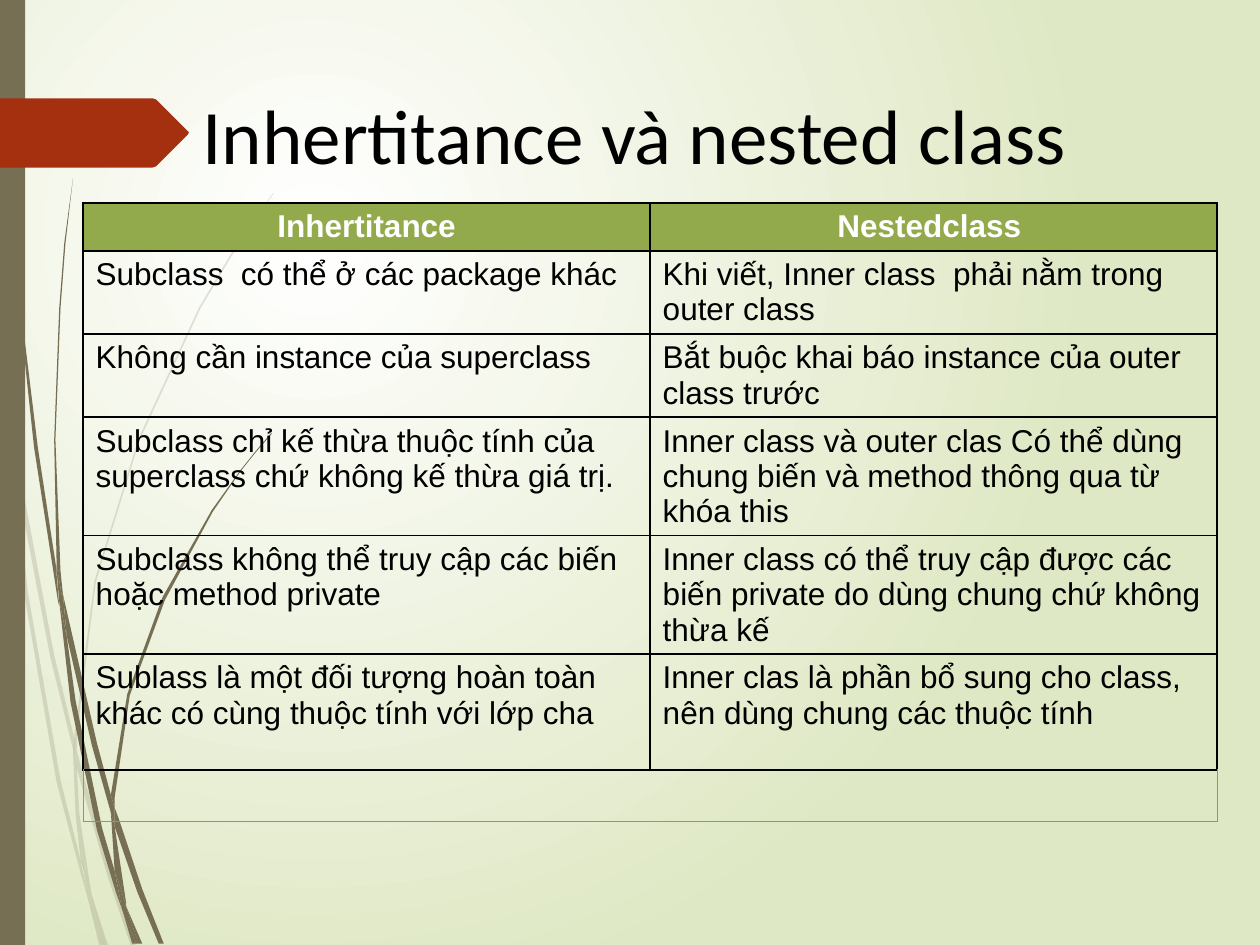
"""Build a slide that compares inheritance with nested classes in a table."""
from lxml.etree import SubElement
from pptx import Presentation
from pptx.dml.color import RGBColor
from pptx.enum.shapes import MSO_SHAPE as Shape
from pptx.enum.text import MSO_ANCHOR as Anchor, PP_ALIGN as Align
from pptx.oxml import parse_xml
from pptx.oxml.ns import nsdecls, qn
from pptx.util import Inches, Pt

WIDTH, HEIGHT = Inches(10), Inches(7.5)
HUNDREDTH = Inches(0.01)
WHITE = RGBColor(0xFF, 0xFF, 0xFF)
BLACK = RGBColor(0x00, 0x00, 0x00)
PALE_GREEN = RGBColor(0xDF, 0xE8, 0xC4)
GREEN = RGBColor(0x92, 0xAA, 0x4C)
EDGE_GREEN = RGBColor(0x8B, 0xA2, 0x49)
BROWN = RGBColor(0x76, 0x6F, 0x54)
RED = RGBColor(0xA5, 0x30, 0x10)

PALE_WISPS = [
    [(8, 350), (6, 322), (0, 282), (0, 299), (7, 344)],
    [(40, 522), (59, 599), (59, 586), (43, 520), (10, 345), (12, 376)],
    [(64, 607), (61, 596), (61, 610), (85, 694), (104, 751), (108, 751), (88, 692)],
    [(83, 751), (86, 751), (73, 711)],
    [(64, 683), (48, 619), (22, 469), (12, 376), (8, 350), (19, 470), (45, 621),
     (64, 693), (70, 714), (69, 707)],
    [(58, 599), (60, 646), (64, 683), (67, 692), (73, 711), (72, 706), (63, 646),
     (61, 610), (61, 608)],
    [(61, 584), (76, 462), (111, 349), (159, 245), (187, 198), (201, 175), (217, 154),
     (217, 153), (201, 175), (186, 197), (158, 244), (110, 348), (75, 461), (59, 584),
     (59, 586), (61, 596)],
    [(70, 714), (79, 751), (82, 751)],
    [(61, 608), (61, 610), (61, 596), (59, 586), (58, 599)],
    [(67, 692), (65, 683), (69, 707), (70, 714), (82, 751), (83, 751), (73, 711)],
]
DARK_WISPS = [
    [(5, 110), (14, 233), (27, 355), (46, 477), (47, 481), (45, 457), (45, 453),
     (30, 355), (15, 232), (6, 109), (4, 48), (3, 0), (2, 0), (3, 48)],
    [(73, 592), (88, 645), (88, 633), (88, 631), (77, 590), (50, 472), (53, 505)],
    [(94, 649), (91, 641), (91, 656), (109, 708), (126, 749), (130, 749), (113, 706)],
    [(91, 691), (81, 657), (60, 556), (53, 505), (47, 477), (56, 557), (77, 659),
     (92, 708), (97, 722), (96, 717)],
    [(50, 472), (48, 453), (44, 349), (48, 245), (52, 193), (58, 141), (51, 193),
     (47, 245), (43, 349), (45, 449), (49, 472)],
    [(110, 749), (113, 749), (100, 719)],
    [(47, 477), (53, 505), (50, 472), (49, 472), (45, 449), (45, 453)],
    [(91, 633), (103, 552), (131, 476), (169, 406), (191, 374), (203, 359), (216, 344),
     (215, 344), (203, 358), (191, 373), (168, 405), (129, 474), (101, 551), (88, 631),
     (91, 641)],
    [(97, 722), (105, 749), (108, 749)],
    [(88, 645), (91, 691), (96, 706), (100, 719), (100, 716), (91, 656), (90, 651)],
    [(88, 645), (90, 651), (91, 656), (91, 641), (88, 631), (88, 633)],
    [(96, 706), (91, 691), (96, 717), (97, 722), (108, 749), (110, 749), (100, 719)],
]
ARROW = [(149, 107), (124, 132), (121, 133), (0, 133), (0, 78), (121, 78), (124, 79),
         (149, 104), (150, 105)]

ROWS = [
    ("Inhertitance", "Nestedclass "),
    ("Subclass  có thể ở các package khác",
     "Khi viết, Inner class  phải nằm trong outer class"),
    ("Không cần instance của superclass",
     "Bắt buộc khai báo instance của outer class trước"),
    ("Subclass chỉ kế thừa thuộc tính của superclass chứ không kế thừa giá trị.",
     "Inner class và outer clas Có thể dùng chung biến và method thông qua từ khóa this"),
    ("Subclass không thể truy cập các biến hoặc method private",
     "Inner class có thể truy cập được các biến private do dùng chung chứ không thừa kế"),
    ("Sublass là một đối tượng hoàn toàn khác có cùng thuộc tính với lớp cha",
     "Inner clas là phần bổ sung cho class, nên dùng chung các thuộc tính"),
    ("", ""),
]
ROW_HEIGHTS = [0.37, 0.66, 0.66, 0.94, 0.94, 0.92, 0.41]
HEADER_FONT = {"name": "Arial", "size": Pt(18), "bold": True}
BODY_FONT = {**HEADER_FONT, "bold": False}
TITLE_FONT = {"name": "Calibri", "size": Pt(44)}


def set_background(page):
    """Fill the page with a round gradient centred in its upper left."""
    fill = page.background.fill
    fill.gradient()
    for stop, color in zip(fill.gradient_stops, (WHITE, PALE_GREEN)):
        stop.color.rgb = color
    gradient = page.element.find(".//" + qn("a:gradFill"))
    gradient.remove(gradient.find(qn("a:lin")))
    circle = SubElement(gradient, qn("a:path"), {"path": "circle"})
    SubElement(circle, qn("a:fillToRect"),
               {"l": "50000", "t": "50000", "r": "100000", "b": "100000"})


def paint(shape, color, alpha=100):
    """Give a shape a plain fill of the given opacity and no line."""
    shape.shadow.inherit = False
    shape.fill.solid()
    shape.fill.fore_color.rgb = color
    shape.line.fill.background()
    if alpha < 100:
        tint = shape.element.spPr.find(".//" + qn("a:srgbClr"))
        SubElement(tint, qn("a:alpha"), {"val": str(alpha * 1000)})


def add_outline(page, points, color, alpha=100):
    """Add a closed outline through points in hundredths of an inch."""
    builder = page.shapes.build_freeform(*points[0], scale=HUNDREDTH)
    builder.add_line_segments(points[1:], close=True)
    paint(builder.convert_to_shape(), color, alpha)


def write(frame, text, color, font, align=Align.LEFT):
    """Write one formatted paragraph into a text frame."""
    para = frame.paragraphs[0]
    para.alignment = align
    if text:
        span = para.add_run()
        span.text = text
        target = span.font
    else:
        target = para.font
    for name, value in font.items():
        setattr(target, name, value)
    target.color.rgb = color


def set_borders(cell, borders):
    """Set the cell's lines, given as side to (colour, points) or None."""
    props = cell._tc.get_or_add_tcPr()
    for index, side in enumerate("LRTB"):
        color, points = borders[side] or (BLACK, 0)
        paint_xml = (f'<a:solidFill><a:srgbClr val="{color}"/></a:solidFill>'
                     if points else "<a:noFill/>")
        props.insert(index, parse_xml(
            f'<a:ln{side} {nsdecls("a")} w="{int(Pt(points))}">{paint_xml}</a:ln{side}>'))


def add_comparison(page):
    """Add the two-column table with its header and open last row."""
    table = page.shapes.add_table(len(ROWS), 2, Inches(0.66), Inches(1.61),
                                  WIDTH * 9 // 10, Inches(sum(ROW_HEIGHTS))).table
    table.first_row = table.horz_banding = False
    black, green = (BLACK, 1), (EDGE_GREEN, 0.75)
    last = len(ROWS) - 1
    for r, (texts, height) in enumerate(zip(ROWS, ROW_HEIGHTS)):
        table.rows[r].height = Inches(height)
        for c, text in enumerate(texts):
            cell = table.cell(r, c)
            borders = dict.fromkeys("LRTB", black)
            if r == last:
                borders.update(L=None if c else green, R=green if c else None, B=green)
            if r == 0:
                cell.fill.solid()
                cell.fill.fore_color.rgb = GREEN
                write(cell.text_frame, text, WHITE, HEADER_FONT, Align.CENTER)
            else:
                cell.fill.background()
                write(cell.text_frame, text, BLACK, BODY_FONT)
            set_borders(cell, borders)


def add_title(page, text):
    """Add the slide's heading beside the arrow."""
    box = page.shapes.add_textbox(Inches(1.51), Inches(0.74), Inches(9.29), Inches(0.64))
    box.text_frame.word_wrap = True
    box.text_frame.vertical_anchor = Anchor.MIDDLE
    write(box.text_frame, text, BLACK, TITLE_FONT)


def main():
    """Build the deck and save it."""
    deck = Presentation()
    deck.slide_width, deck.slide_height = WIDTH, HEIGHT
    page = deck.slides.add_slide(deck.slide_layouts[6])
    set_background(page)
    for wisps, alpha in ((PALE_WISPS, 20), (DARK_WISPS, 100)):
        for points in wisps:
            add_outline(page, points, BROWN, alpha)
    paint(page.shapes.add_shape(Shape.RECTANGLE, 0, 0, WIDTH // 50, HEIGHT), BROWN)
    add_outline(page, ARROW, RED)
    add_comparison(page)
    add_title(page, "Inhertitance và nested class")
    deck.save("out.pptx")


if __name__ == "__main__":
    main()
